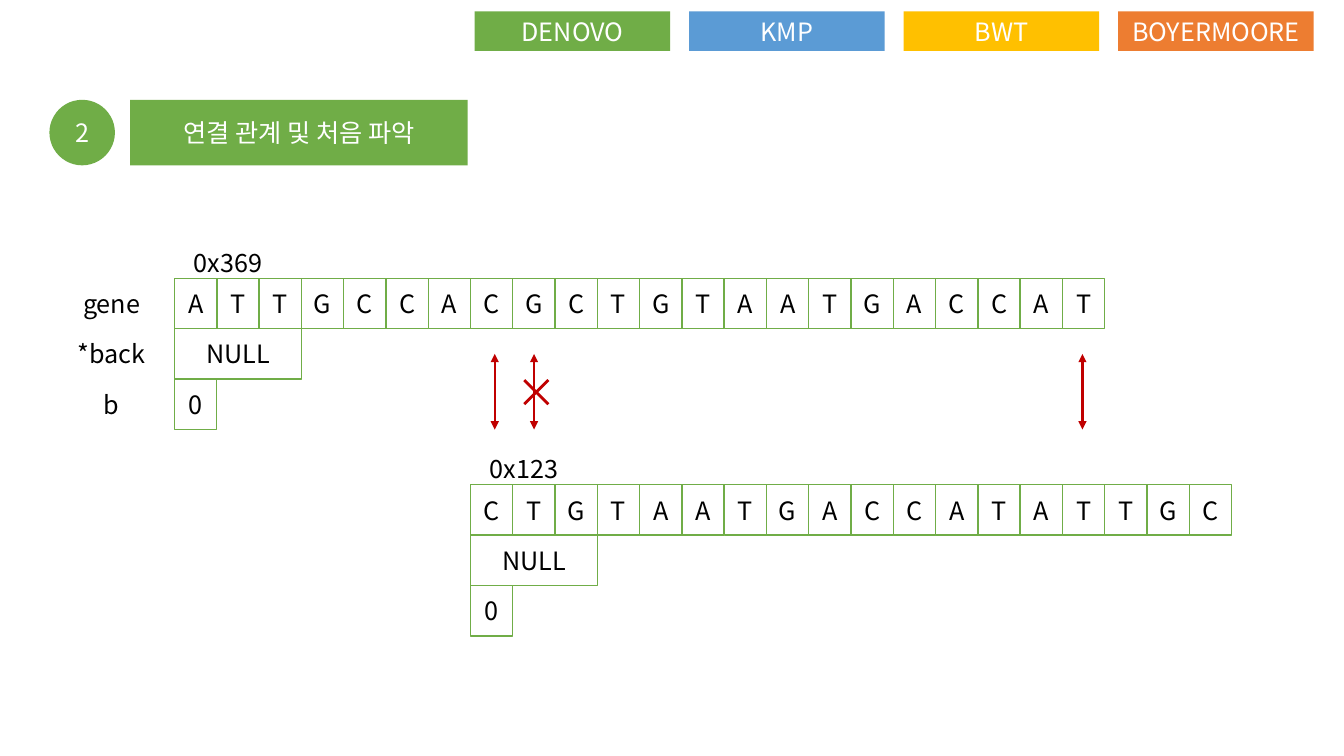
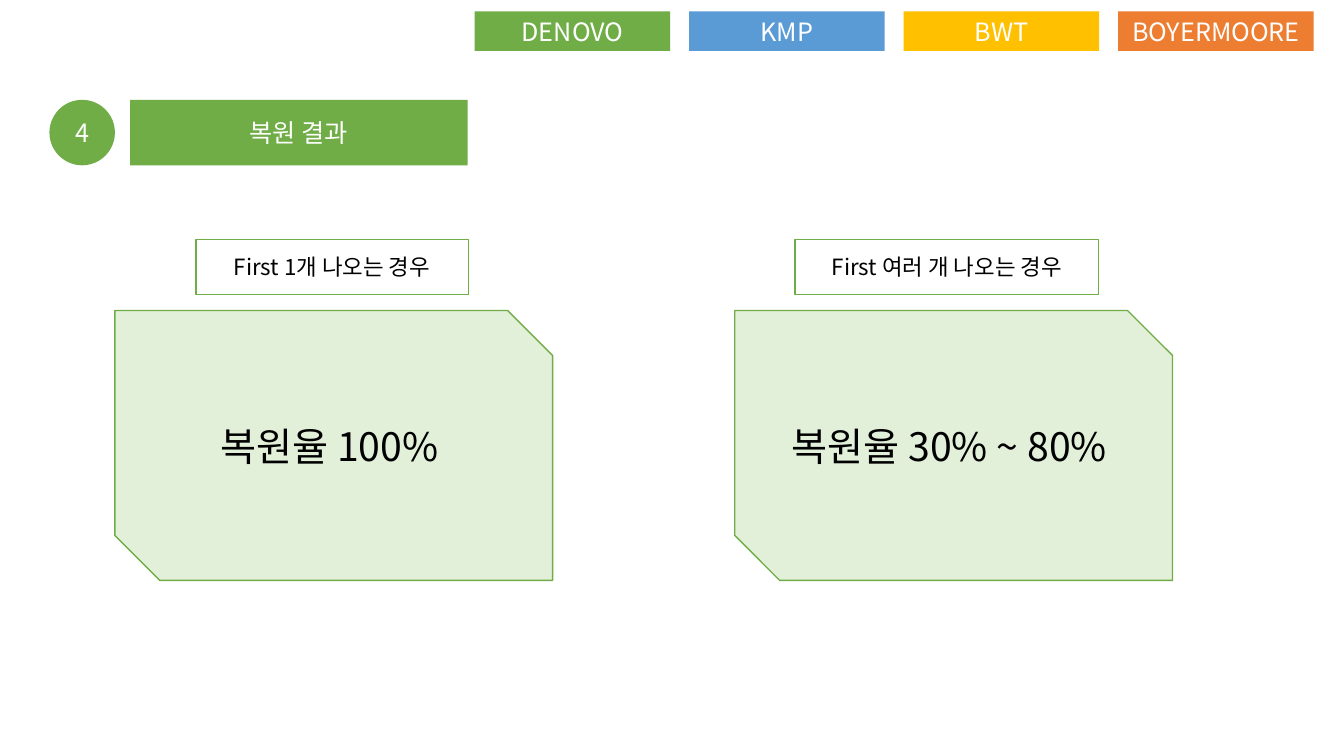
from lxml import etree
from pptx import Presentation
from pptx.dml.color import RGBColor
from pptx.enum import shapes, text
from pptx.oxml import ns
from pptx.util import Pt

FONT = "Noto Sans CJK KR"
GREEN = RGBColor(0x70, 0xAD, 0x47)
PALE_GREEN = RGBColor(0xE2, 0xF0, 0xD9)
BLUE = RGBColor(0x5B, 0x9B, 0xD5)
YELLOW = RGBColor(0xFF, 0xC0, 0x00)
ORANGE = RGBColor(0xED, 0x7D, 0x31)
RED = RGBColor(0xC0, 0x00, 0x00)
WHITE = RGBColor(0xFF, 0xFF, 0xFF)
BLACK = RGBColor(0x00, 0x00, 0x00)

ALGORITHMS = [("DENOVO", GREEN), ("KMP", BLUE), ("BWT", YELLOW), ("BOYERMOORE", ORANGE)]
TAB_LEFT, TAB_TOP, TAB_WIDTH, TAB_HEIGHT, TAB_STEP = 339.1, 8.2, 139.7, 28.2, 153.2

BASE_WIDTH, ROW_HEIGHT = 30.2, 36
READ_LEFT, READ_TOP = 124.7, 198.8
OVERLAP_START = 7

RECT = shapes.MSO_SHAPE.RECTANGLE
SNIPPED = shapes.MSO_SHAPE.SNIP_2_DIAG_RECTANGLE


def write(frame, content, size=18, color=BLACK):
    """Put one centred line of text in a text frame."""
    frame.word_wrap = True
    frame.auto_size = text.MSO_AUTO_SIZE.NONE
    frame.vertical_anchor = text.MSO_ANCHOR.MIDDLE
    frame.margin_left = frame.margin_right = frame.margin_top = frame.margin_bottom = 0
    paragraph = frame.paragraphs[0]
    paragraph.alignment = text.PP_ALIGN.CENTER
    run = paragraph.add_run()
    run.text = content
    run.font.size = Pt(size)
    run.font.color.rgb = color
    run.font.name = FONT
    etree.SubElement(run.font._element, ns.qn("a:ea"), typeface=FONT)


def add_box(parent, box, content, kind=RECT, fill=WHITE, line=GREEN, **text_format):
    shape = parent.shapes.add_shape(kind, *map(Pt, box))
    shape.shadow.inherit = False
    shape.fill.solid()
    shape.fill.fore_color.rgb = fill
    if line is None:
        shape.line.fill.background()
    else:
        shape.line.color.rgb = line
        shape.line.width = Pt(1)
    write(shape.text_frame, content, **text_format)


def add_label(parent, box, content):
    label = parent.shapes.add_textbox(*map(Pt, box))
    write(label.text_frame, content)


def add_red_line(parent, start, end, width, arrows=False):
    line = parent.shapes.add_connector(shapes.MSO_CONNECTOR.STRAIGHT, *map(Pt, (*start, *end)))
    line.line.color.rgb = RED
    line.line.width = Pt(width)
    if arrows:
        for side in ("a:headEnd", "a:tailEnd"):
            etree.SubElement(line.line._get_or_add_ln(), ns.qn(side), type="triangle")
    etree.SubElement(line._element.spPr, ns.qn("a:effectLst"))


def set_title(slide, content):
    """Turn the title placeholder into the green banner with two snipped corners."""
    title = slide.shapes.title
    title.left, title.top, title.width, title.height = map(Pt, (92.9, 71.3, 241.2, 46.8))
    geometry = etree.SubElement(title._element.spPr, ns.qn("a:prstGeom"), prst="snip2DiagRect")
    etree.SubElement(geometry, ns.qn("a:avLst"))
    title.fill.solid()
    title.fill.fore_color.rgb = GREEN
    write(title.text_frame, content, color=WHITE)


def add_section_slide(prs, number, title):
    """Add a slide with its numbered heading and the algorithm tabs."""
    slide = prs.slides.add_slide(prs.slide_layouts[5])
    set_title(slide, title)
    add_box(slide, (35.3, 71.3, 46.8, 46.8), number, kind=shapes.MSO_SHAPE.OVAL,
            fill=GREEN, line=None, color=WHITE)
    for i, (name, color) in enumerate(ALGORITHMS):
        add_box(slide, (TAB_LEFT + i * TAB_STEP, TAB_TOP, TAB_WIDTH, TAB_HEIGHT), name,
                fill=color, line=None, color=WHITE)
    return slide


def add_read(slide, left, top, address, gene, field_names=()):
    """Draw a read record: address, gene cells, back pointer and b."""
    read = slide.shapes.add_group_shape()
    for i, base in enumerate(gene):
        add_box(read, (left + i * BASE_WIDTH, top, BASE_WIDTH, ROW_HEIGHT), base)
    add_box(read, (left, top + ROW_HEIGHT, 3 * BASE_WIDTH, ROW_HEIGHT), "NULL")
    add_box(read, (left, top + 2 * ROW_HEIGHT, BASE_WIDTH, ROW_HEIGHT), "0")
    add_label(read, (left, top - 22.8, 76.4, 22.8), address)
    for row, name in enumerate(field_names):
        add_label(read, (left - 90.2, top + row * ROW_HEIGHT, 90.6, ROW_HEIGHT), name)


def add_cross(slide, x, y, reach):
    cross = slide.shapes.add_group_shape()
    for rise in (reach, -reach):
        add_red_line(cross, (x - reach, y - rise), (x + reach, y + rise), 2)


def build_links_slide(prs):
    slide = add_section_slide(prs, "2", "연결 관계 및 처음 파악")
    add_read(slide, READ_LEFT, READ_TOP, "0x369", "ATTGCCACGCTGTAATGACCAT",
             ("gene", "*back", "b"))
    add_read(slide, READ_LEFT + OVERLAP_START * BASE_WIDTH, 346.3, "0x123",
             "CTGTAATGACCATATTGC")
    for x in (353.4, 381.5, 773.2):
        add_red_line(slide, (x, 252.8), (x, 306.8), 1.75, arrows=True)
    add_cross(slide, 383.1, 280.1, 8.6)


def build_results_slide(prs):
    slide = add_section_slide(prs, "4", "복원 결과")
    results = [
        (82, 139.9, 194.6, "First 1개 나오는 경우", "복원율 100% "),
        (524.8, 567.8, 217, "First 여러 개 나오는 경우", "복원율 30% ~ 80% "),
    ]
    for card_left, case_left, case_width, case, rate in results:
        add_box(slide, (case_left, 171, case_width, 39.2), case, size=16)
        add_box(slide, (card_left, 221.8, 312.7, 192.8), rate, kind=SNIPPED,
                fill=PALE_GREEN, size=28)


def main():
    prs = Presentation()
    prs.slide_width, prs.slide_height = Pt(960), Pt(540)
    build_links_slide(prs)
    build_results_slide(prs)
    prs.save("out.pptx")


if __name__ == "__main__":
    main()
